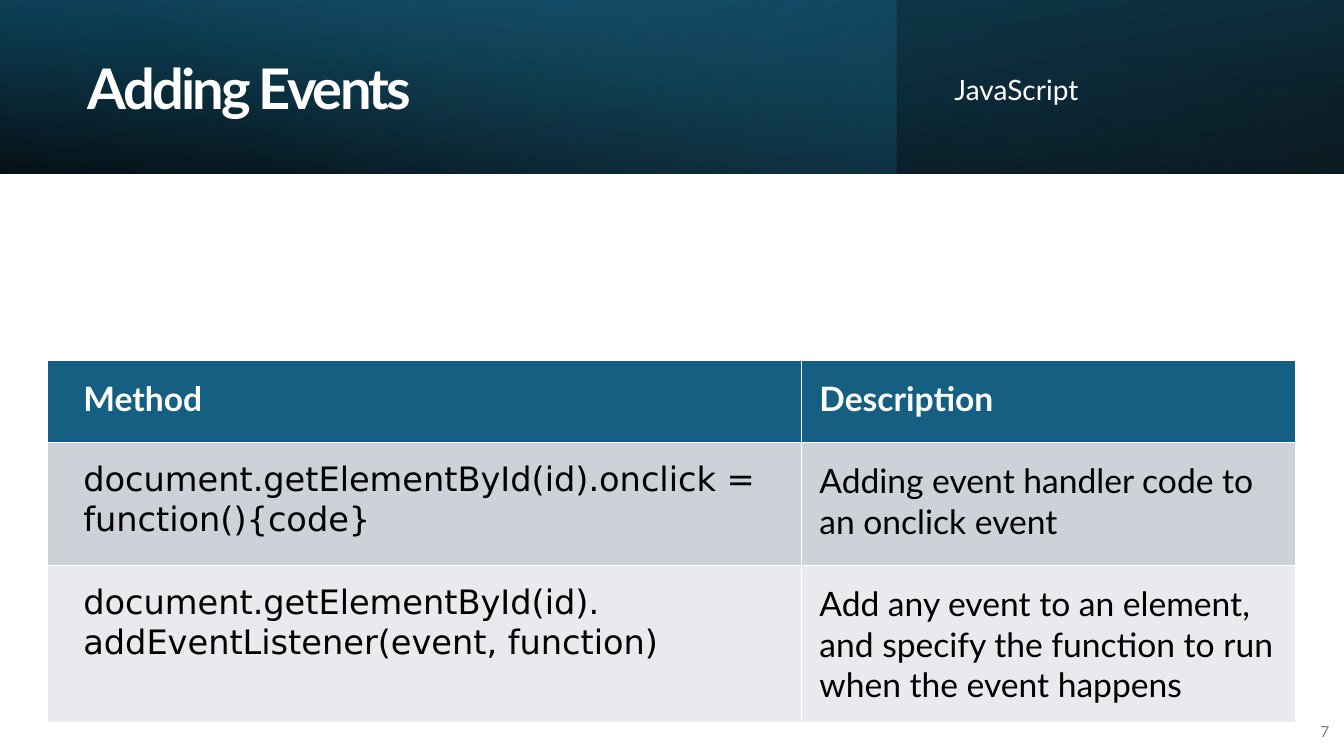
from lxml.etree import SubElement
from pptx import Presentation
from pptx.dml.color import RGBColor
from pptx.enum.shapes import MSO_SHAPE
from pptx.enum.text import MSO_ANCHOR, MSO_AUTO_SIZE, PP_ALIGN
from pptx.oxml.ns import qn
from pptx.util import Cm, Pt

WHITE = RGBColor(0xFF, 0xFF, 0xFF)
BLACK = RGBColor(0x00, 0x00, 0x00)
GRAY = RGBColor(0x80, 0x80, 0x80)
NAVY = RGBColor(0x10, 0x48, 0x62)
TEAL = RGBColor(0x15, 0x60, 0x82)
SKY = RGBColor(0x46, 0xB1, 0xE1)
DARK = RGBColor(0xCC, 0xD2, 0xD8)
PALE = RGBColor(0xE8, 0xEA, 0xED)

WIDTH, HEIGHT, BAND = 33.87, 19.05, 4.37


class Deck:
    font = "Lato"
    code = "DejaVu Sans"

    def __init__(self):
        self.file = Presentation()
        self.file.slide_width = Cm(WIDTH)
        self.file.slide_height = Cm(HEIGHT)
        self.slide = self.file.slides.add_slide(self.file.slide_layouts[1])
        self.shapes = self.slide.shapes

    def label(self, frame, text, size, color, bold=False, font=None):
        frame.text = text
        frame.word_wrap = True
        for para in frame.paragraphs:
            para.font.name = font or self.font
            para.font.size = Pt(size)
            para.font.bold = bold
            para.font.color.rgb = color
        return frame.paragraphs[0]

    def band(self, width, angle, stops, flip=False, turn=0):
        shape = self.shapes.add_shape(
            MSO_SHAPE.RECTANGLE, 0, 0, Cm(width), Cm(BAND))
        shape.shadow.inherit = False
        shape.line.fill.background()
        shape.rotation = turn
        if flip:
            shape._element.spPr.xfrm.set("flipH", "1")
        shape.fill.gradient()
        shape.fill.gradient_angle = 360 - angle
        for stop, (place, color, alpha) in zip(shape.fill.gradient_stops, stops):
            stop.position = place
            stop.color.rgb = color
        tints = shape._element.spPr.iter(qn("a:srgbClr"))
        for tint, (place, color, alpha) in zip(tints, stops):
            SubElement(tint, qn("a:alpha")).set("val", str(alpha * 1000))

    def holder(self, index, box, text, size, bold=False):
        shape = self.slide.placeholders[index]
        shape.left, shape.top, shape.width, shape.height = map(Cm, box)
        self.shapes._spTree.append(shape._element)
        frame = shape.text_frame
        para = self.label(frame, text, size, WHITE, bold)
        frame.auto_size = MSO_AUTO_SIZE.NONE
        frame.vertical_anchor = MSO_ANCHOR.MIDDLE
        para.alignment = PP_ALIGN.LEFT
        para.line_spacing = 0.9
        return para

    def title(self, box, text):
        para = self.holder(0, box, text, 40, True)
        para.runs[0]._r.get_or_add_rPr().set("spc", "-200")

    def topic(self, box, text):
        para = self.holder(1, box, text, 20)
        para.space_before = Pt(10)
        props = para._p.get_or_add_pPr()
        props.set("marL", "0")
        props.set("indent", "0")
        props.insert_element_before(
            props.makeelement(qn("a:buNone"), {}), "a:tabLst", "a:defRPr")

    def number(self, box, text):
        frame = self.shapes.add_textbox(*map(Cm, box)).text_frame
        para = self.label(frame, text, 11, GRAY)
        frame.vertical_anchor = MSO_ANCHOR.MIDDLE
        para.alignment = PP_ALIGN.RIGHT
        para.space_after = Pt(6)

    def table(self, left, top, widths, heights, rows, fills):
        grid = self.shapes.add_table(
            len(rows), len(widths), Cm(left), Cm(top),
            Cm(sum(widths)), Cm(sum(heights))).table
        for col, width in zip(grid.columns, widths):
            col.width = Cm(width)
        for r, (texts, height, fill) in enumerate(zip(rows, heights, fills)):
            grid.rows[r].height = Cm(height)
            head = r == 0
            for c, text in enumerate(texts):
                cell = grid.cell(r, c)
                cell.fill.solid()
                cell.fill.fore_color.rgb = fill
                cell.margin_left = Cm(0.46 if c else 0.91)
                cell.margin_top = cell.margin_right = cell.margin_bottom = Cm(0.46)
                font = self.font if head or c else self.code
                self.label(cell.text_frame, text, 24,
                           WHITE if head else BLACK, head, font)


def main():
    deck = Deck()
    deck.band(WIDTH, 100, [(0, BLACK, 96), (1, NAVY, 100)], flip=True, turn=180)
    deck.band(22.58, 140, [(0, TEAL, 41), (0.74, SKY, 0)])
    deck.band(WIDTH, 260, [(0, BLACK, 63), (0.78, TEAL, 15)], flip=True)
    deck.title((1.96, 0.69, 19.61, 3.23), "Adding Events")
    deck.topic((23.8, 1.09, 8.99, 2.44), "JavaScript")
    deck.number((32.51, 17.93, 1.24, 1.02), "7")
    deck.table(
        1.19, 9.07, [19, 12.47], [2.08, 3.1, 3.94],
        [("Method", "Description"),
         ("document.getElementById(id).onclick = function(){code}",
          "Adding event handler code to an onclick event"),
         ("document.getElementById(id).\naddEventListener(event, function)",
          "Add any event to an element, and specify the function to run "
          "when the event happens")],
        [TEAL, DARK, PALE])
    deck.file.save("out.pptx")


if __name__ == "__main__":
    main()
